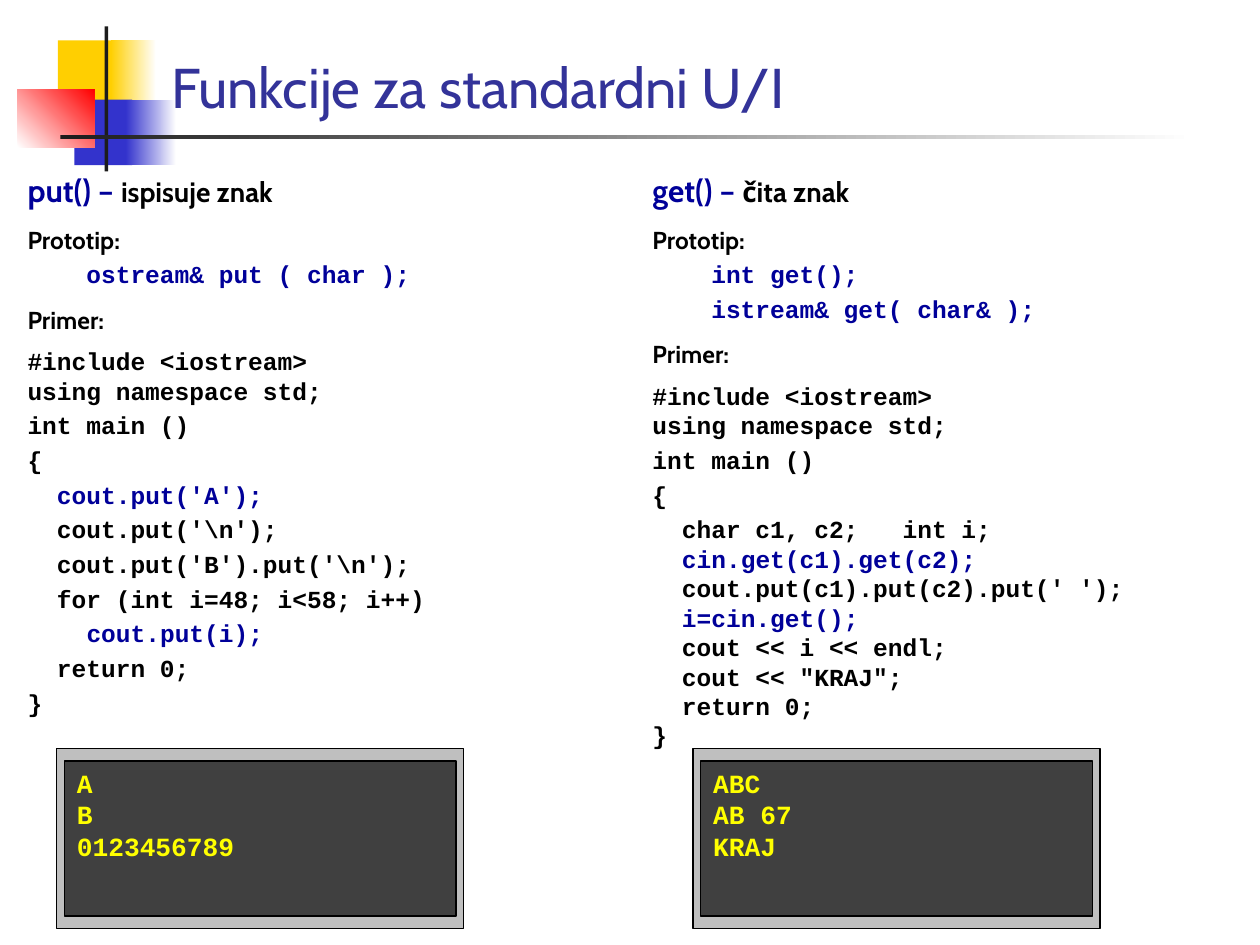
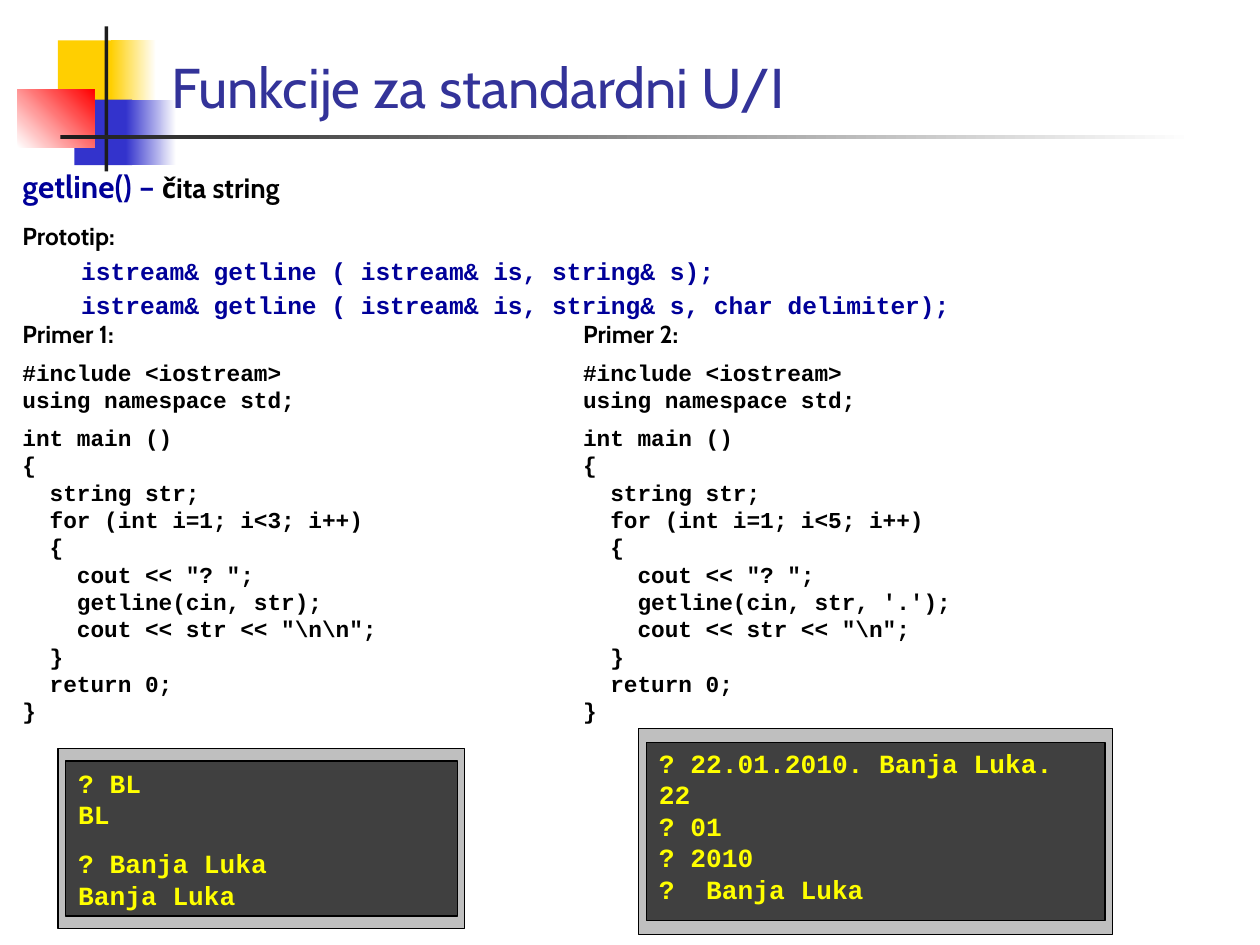
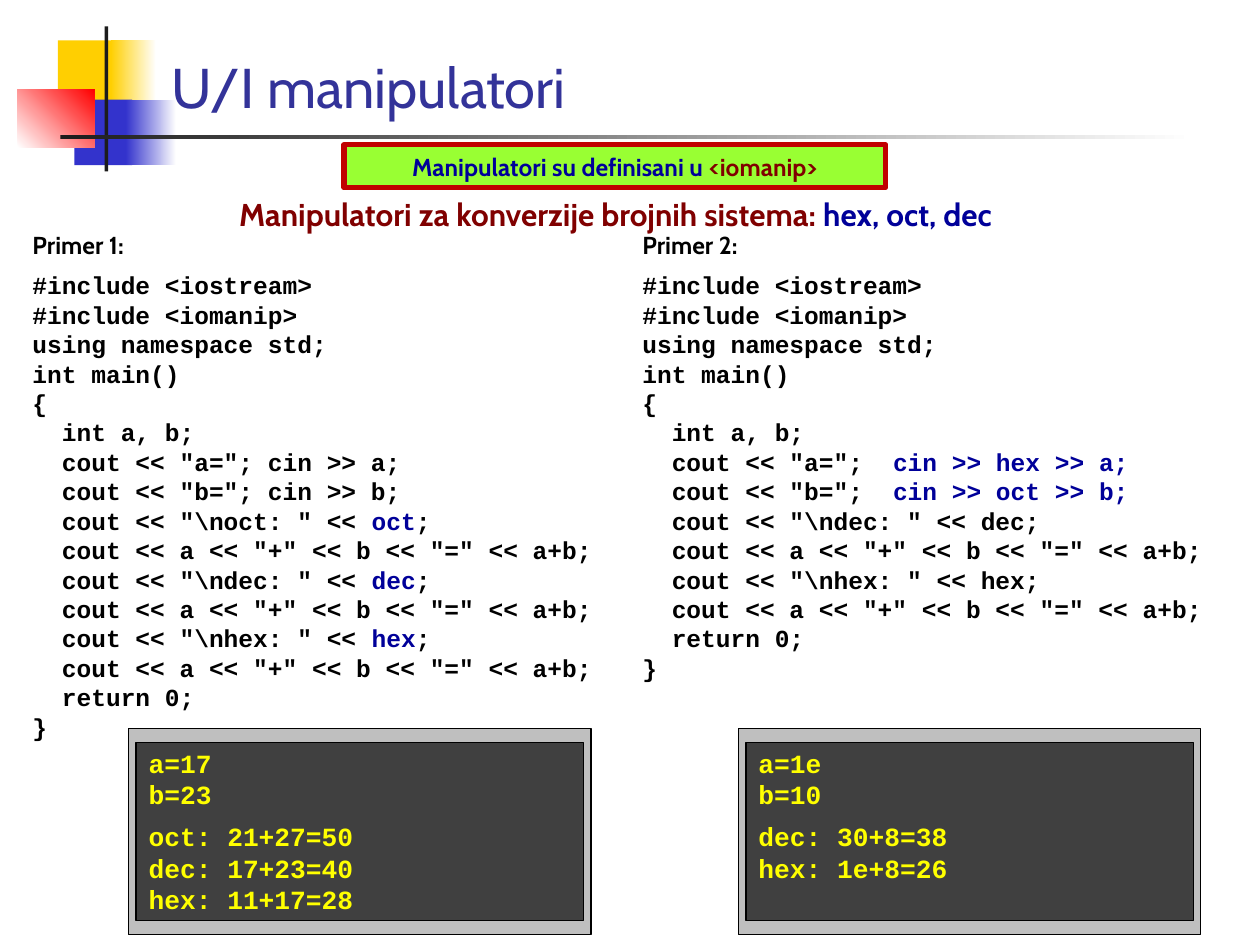
from pptx import Presentation
from pptx.dml.color import RGBColor
from pptx.enum.shapes import MSO_SHAPE
from pptx.enum.text import MSO_ANCHOR, PP_ALIGN
from pptx.util import Inches, Pt

COLORS = {
    "yellow": "FFCF01", "blue": "3333CC", "red": "FF0000", "white": "FFFFFF",
    "ink": "1C1C1C", "title": "333399", "black": "000000", "navy": "000099",
    "maroon": "800000", "bezel": "BFBFBF", "screen": "404040",
    "output": "FFFF00", "lime": "99FF33", "crimson": "C00000",
}

presentation = Presentation()
presentation.slide_width = Inches(10)
presentation.slide_height = Inches(7.5)
COLUMN = presentation.slide_width / 100
ROW = presentation.slide_height / 75


def add_box(slide, area, fill=None, fade=None, angle=0, line=None, line_width=0):
    left, top, width, height = area
    place = [int(size) for size in (left * COLUMN, top * ROW, width * COLUMN, height * ROW)]
    if fill is None:
        shape = slide.shapes.add_textbox(*place)
        shape.text_frame.word_wrap = True
        return shape
    shape = slide.shapes.add_shape(MSO_SHAPE.RECTANGLE, *place)
    shape.shadow.inherit = False
    if fade:
        shape.fill.gradient()
        shape.fill.gradient_angle = angle
        for stop, name in zip(shape.fill.gradient_stops, (fill, fade)):
            stop.color.rgb = RGBColor.from_string(COLORS[name])
    else:
        shape.fill.solid()
        shape.fill.fore_color.rgb = RGBColor.from_string(COLORS[fill])
    if line:
        shape.line.color.rgb = RGBColor.from_string(COLORS[line])
        shape.line.width = Pt(line_width)
    else:
        shape.line.fill.background()
    return shape


def write(frame, text, font="Cabin", size=14, color="black", accent="navy",
          accent_size=None, bold=True, before=0, gap=0, align=PP_ALIGN.LEFT):
    for number, line in enumerate(text.split("\n")):
        first = frame.paragraphs[0]
        paragraph = frame.add_paragraph() if first.runs else first
        paragraph.alignment = align
        paragraph.space_before = Pt(gap if number else before)
        for index, part in enumerate(line.split("`")):
            if not part:
                continue
            marked = index % 2 == 1
            run = paragraph.add_run()
            run.text = part
            run.font.name = font
            run.font.bold = bold
            run.font.size = Pt(accent_size if marked and accent_size else size)
            run.font.color.rgb = RGBColor.from_string(COLORS[accent if marked else color])


HEADING = dict(size=16, accent_size=18)
LABEL = dict(before=9)
PROTOTYPE = dict(font="Courier New", color="navy", before=3, gap=3)
CODE = dict(font="Courier New")
LOOSE_CODE = dict(font="Courier New", before=3, gap=3)
SMALL_CODE = dict(font="Courier New", size=13, before=6)
OUTPUT = dict(font="Courier New", size=15, color="output")
SUBTITLE = dict(size=18, color="maroon", align=PP_ALIGN.CENTER)

INCLUDES = "#include <iostream>\nusing namespace std;"
GETLINE_CODE = r"""int main ()
{
  string str;
  for (int i=1; i<%s; i++)
  {
    cout << "? ";
    getline(cin, str%s);
    cout << str << "%s";
  }
  return 0;
}"""
MANIPULATOR_START = """#include <iostream>
#include <iomanip>
using namespace std;
int main()
{
  int a, b;
"""
SUM = '  cout << a << "+" << b << "=" << a+b;\n'
END = "  return 0;\n}"
SHOW = '  cout << "\\n%s: " << %s;\n'

octal_main = '  cout << "a="; cin >> a;\n  cout << "b="; cin >> b;\n'
octal_main += "".join(SHOW % (base, f"`{base}`") + SUM for base in ("oct", "dec", "hex"))
hex_main = '  cout << "a=";  `cin >> hex >> a;`\n  cout << "b=";  `cin >> oct >> b;`\n'
hex_main += "".join(SHOW % (base, base) + SUM for base in ("dec", "hex"))

put_panel = [
    (HEADING, "`put() – `ispisuje znak"),
    (LABEL, "Prototip:"),
    (PROTOTYPE, "    ostream& put ( char );"),
    (LABEL, "Primer:"),
    (dict(CODE, before=7), INCLUDES),
    (LOOSE_CODE, r"""int main ()
{
  `cout.put('A');`
  cout.put('\n');
  cout.put('B').put('\n');
  for (int i=48; i<58; i++)
    `cout.put(i);`
  return 0;
}"""),
]
get_panel = [
    (HEADING, "`get() – `čita znak"),
    (LABEL, "Prototip:"),
    (PROTOTYPE, "    int get();\n    istream& get( char& );"),
    (LABEL, "Primer:"),
    (dict(CODE, before=7), INCLUDES),
    (LOOSE_CODE, "int main ()\n{\n  char c1, c2;   int i;"),
    (CODE, """  `cin.get(c1).get(c2);`
  cout.put(c1).put(c2).put(' ');
  `i=cin.get();`
  cout << i << endl;
  cout << "KRAJ";
  return 0;
}"""),
]
getline_panel = [
    (HEADING, "`getline() – `čita string"),
    (LABEL, "Prototip:"),
    (PROTOTYPE, """    istream& getline ( istream& is, string& s);
    istream& getline ( istream& is, string& s, char delimiter);"""),
]
getline_examples = [
    [(LABEL, f"Primer {number}:"), (SMALL_CODE, INCLUDES), (SMALL_CODE, GETLINE_CODE % values)]
    for number, values in enumerate([("3", "", r"\n\n"), ("5", ", '.'", r"\n")], 1)
]
manipulator_examples = [
    [(LABEL, f"Primer {number}:"), (dict(CODE, before=6), MANIPULATOR_START + main + END)]
    for number, main in enumerate([octal_main, hex_main], 1)
]

lessons = [
    dict(
        title="Funkcije za standardni U/I",
        panels=[((1.2, 13.1, 37.1, 43.2), put_panel), ((50.8, 13.1, 49.2, 44.7), get_panel)],
        consoles=[
            ((4.5, 59.4, 32.3, 14.3), 0, "A\nB\n0123456789"),
            ((55, 59.4, 32.3, 14.3), 0, "ABC\nAB 67\nKRAJ"),
        ],
    ),
    dict(
        title="Funkcije za standardni U/I",
        panels=[
            ((0.8, 12.8, 82.4, 15), getline_panel),
            ((0.8, 24.8, 37.5, 33.6), getline_examples[0]),
            ((45.3, 24.8, 45.3, 33.6), getline_examples[1]),
        ],
        consoles=[
            ((4.6, 59.4, 32.3, 14.3), 10, "? BL\nBL\n\n? Banja Luka\nBanja Luka"),
            ((50.7, 57.8, 37.6, 16.4), 0,
             "? 22.01.2010. Banja Luka.\n22\n? 01\n? 2010\n?  Banja Luka"),
        ],
    ),
    dict(
        title="U/I manipulatori",
        panels=[
            ((1.6, 17.8, 52.3, 36.7), manipulator_examples[0]),
            ((50, 17.8, 50, 36.7), manipulator_examples[1]),
            ((1.6, 15, 94.5, 6.2),
             [(SUBTITLE, "Manipulatori za konverzije brojnih sistema: `hex, oct, dec`")]),
        ],
        consoles=[
            ((10.2, 57.8, 36.7, 16.4), 6,
             "a=17\nb=23\n\noct: 21+27=50\ndec: 17+23=40\nhex: 11+17=28"),
            ((58.6, 57.8, 36.7, 16.4), 6, "a=1e\nb=10\n\ndec: 30+8=38\nhex: 1e+8=26"),
        ],
    ),
]

decorations = [
    ((4.6, 3.2, 4.8, 5.2), "yellow", None, 0),
    ((8.8, 3.2, 3.6, 5.2), "yellow", "white", 0),
    ((5.9, 7.9, 4.6, 5.2), "blue", None, 0),
    ((10, 7.9, 4, 5.2), "blue", "white", 0),
    ((1.4, 7.1, 6.1, 4.6), "white", "red", 45),
    ((8.3, 2.1, 0.3, 11.5), "ink", None, 0),
    ((4.8, 10.7, 90, 0.3), "ink", "white", 0),
]

for lesson in lessons:
    slide = presentation.slides.add_slide(presentation.slide_layouts[6])
    for area, fill, fade, angle in decorations:
        add_box(slide, area, fill, fade, angle)

    title = add_box(slide, (12.6, 1.3, 87.4, 8.7)).text_frame
    title.vertical_anchor = MSO_ANCHOR.BOTTOM
    write(title, lesson["title"], size=32, color="title", bold=False)

    for area, blocks in lesson["panels"]:
        panel = add_box(slide, area).text_frame
        for style, text in blocks:
            write(panel, text, **style)

    for area, before, text in lesson["consoles"]:
        left, top, width, height = area
        edge = 0.07 * height
        add_box(slide, area, "bezel", line="black")
        add_box(slide, (left + 0.6, top + edge, width - 1.2, height - 2 * edge),
                "screen", line="black")
        output = add_box(slide, (left + 1.6, top + 1, width - 2.4, height - 2)).text_frame
        output.margin_left = output.margin_right = 0
        for block in text.split("\n\n"):
            write(output, block, before=before, **OUTPUT)

banner = add_box(slide, (27.3, 11.5, 43, 3.4), "lime", line="crimson", line_width=3)
write(banner.text_frame, "Manipulatori su definisani u `<iomanip>`",
      color="navy", accent="maroon", align=PP_ALIGN.CENTER)

presentation.save("out.pptx")
